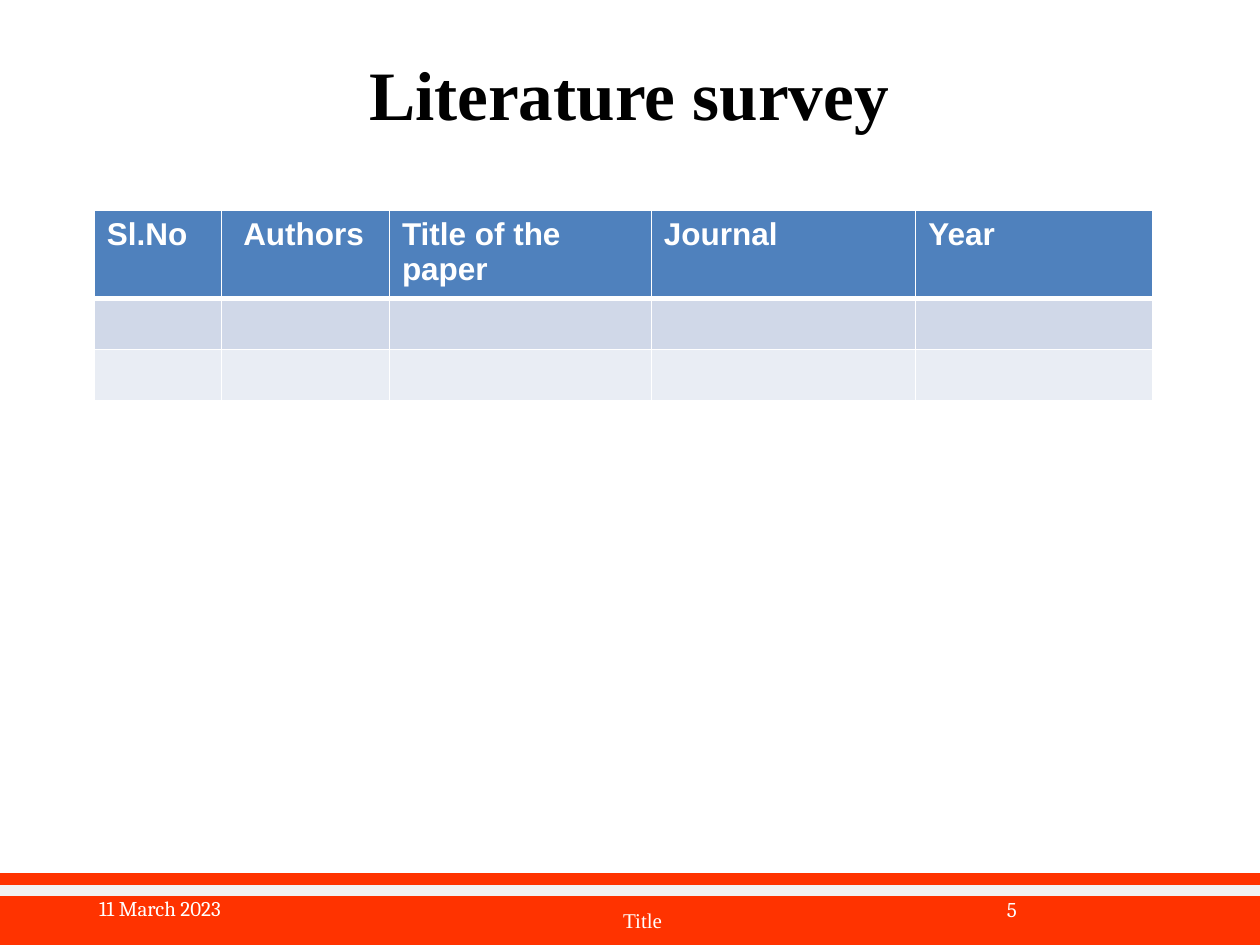
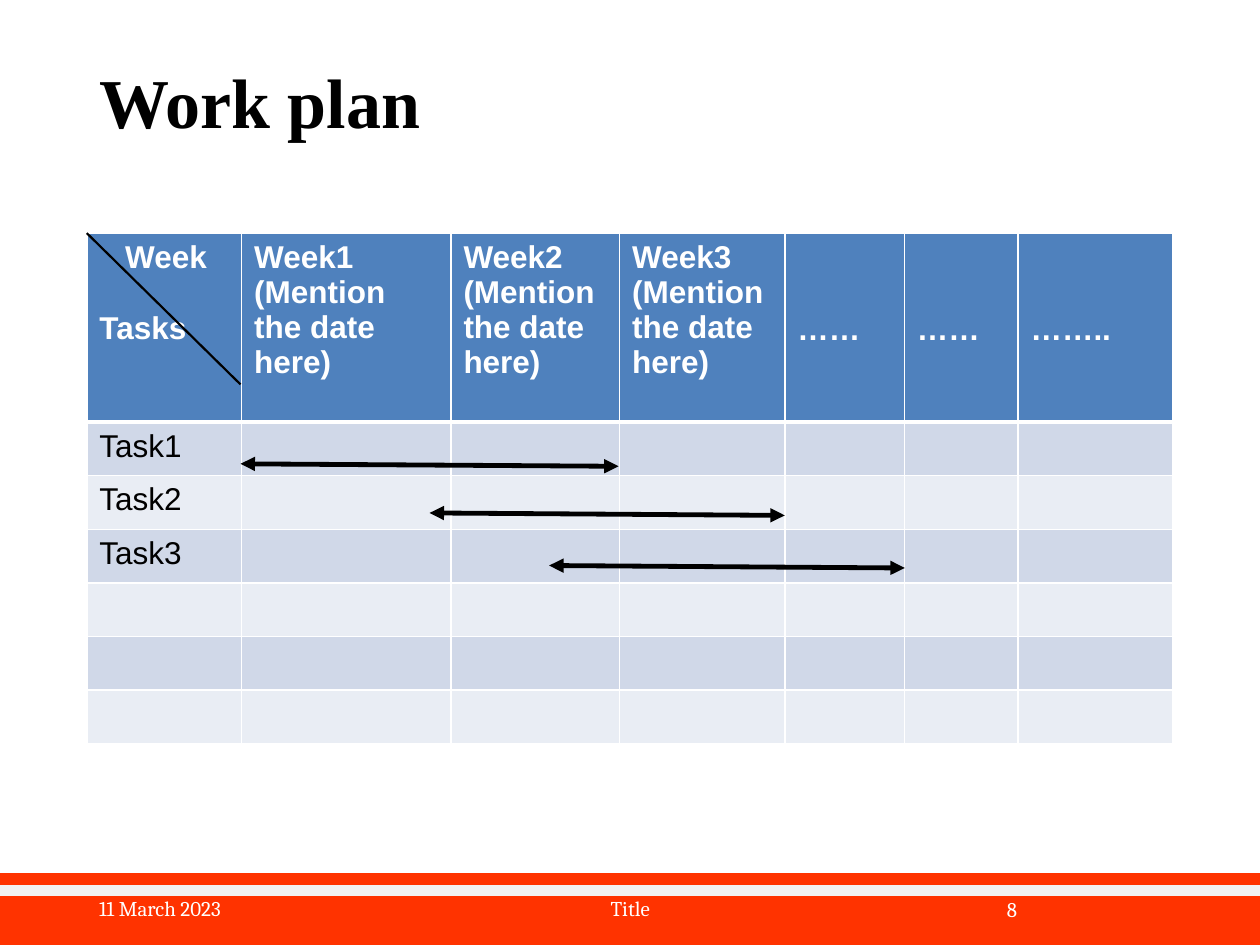
from lxml import etree
from pptx import Presentation
from pptx.dml.color import RGBColor
from pptx.enum.shapes import MSO_CONNECTOR, MSO_SHAPE
from pptx.enum.text import MSO_ANCHOR, MSO_AUTO_SIZE, PP_ALIGN
from pptx.oxml.ns import qn
from pptx.util import Cm, Pt

LEFT, CENTER, RIGHT = PP_ALIGN.LEFT, PP_ALIGN.CENTER, PP_ALIGN.RIGHT
MIDDLE = MSO_ANCHOR.MIDDLE
NO_AUTOFIT = MSO_AUTO_SIZE.NONE
RECTANGLE = MSO_SHAPE.RECTANGLE
STRAIGHT = MSO_CONNECTOR.STRAIGHT

BLACK, WHITE = "000000", "FFFFFF"
BAND, STRIPE = "FF3300", "F2F2F2"
HEADER, ROW_FILLS = "4F81BD", ("D0D8E8", "E9EDF4")
TABLE_FONT, FOOTER_FONT, TITLE_FONT = "Arial", "Cambria", "Times New Roman"

DATE = "11 March 2023"
FOOTER_TITLE = "Title"
WEEK_NOTE = "(Mention the date here)"


def color(value):
    return RGBColor.from_string(value)


def write(frame, text, font=TABLE_FONT, size=18, fill=BLACK, bold=False,
          align=LEFT, spacing=None, gap=0, indent=0):
    frame.word_wrap = True
    for index, line in enumerate(text.split("\n")):
        paragraph = frame.add_paragraph() if index else frame.paragraphs[0]
        paragraph.alignment = align
        if spacing:
            paragraph.line_spacing = spacing
        if index and gap:
            paragraph.space_before = Pt(gap)
        if not index and indent:
            paragraph._p.get_or_add_pPr().set("marL", str(Cm(indent)))
        run = paragraph.add_run()
        run.text = line
        run.font.name = font
        run.font.size = Pt(size)
        run.font.bold = bold
        run.font.color.rgb = color(fill)


def add_line(slide, start, end, fill, width, arrows=False):
    line = slide.shapes.add_connector(STRAIGHT, *map(Cm, start + end))
    line.line.color.rgb = color(fill)
    line.line.width = Pt(width)
    if arrows:
        outline = line.line._get_or_add_ln()
        for end_tag in ("a:headEnd", "a:tailEnd"):
            etree.SubElement(outline, qn(end_tag), type="triangle")
    etree.SubElement(line._element.spPr, qn("a:effectLst"))


def add_footer_text(slide, text, box, **style):
    frame = slide.shapes.add_textbox(*map(Cm, box)).text_frame
    frame.vertical_anchor = MIDDLE
    write(frame, text, **{"font": FOOTER_FONT, "size": 12, "fill": WHITE, **style})


def add_slide(deck, title, title_box, number, footer_box, footer_font=FOOTER_FONT,
              size=40, align=LEFT, bottom_margin=0.13):
    slide = deck.slides.add_slide(deck.slide_layouts[5])
    band = slide.shapes.add_shape(RECTANGLE, Cm(-0.05), Cm(17.6), Cm(25.45), Cm(1.45))
    band.shadow.inherit = False
    band.fill.solid()
    band.fill.fore_color.rgb = color(BAND)
    band.line.fill.background()
    add_line(slide, (-0.05, 17.95), (25.4, 17.95), STRIPE, 6)

    heading = slide.shapes.title
    heading.left, heading.top, heading.width, heading.height = map(Cm, title_box)
    frame = heading.text_frame
    frame.auto_size = NO_AUTOFIT
    frame.vertical_anchor = MIDDLE
    frame.margin_bottom = Cm(bottom_margin)
    write(frame, title, font=TITLE_FONT, size=size, bold=True, align=align, spacing=0.9)

    add_footer_text(slide, DATE, (1.75, 17.95, 5.72, 0.72))
    add_footer_text(slide, FOOTER_TITLE, footer_box, font=footer_font, align=CENTER)
    add_footer_text(slide, number, (17.93, 17.95, 2.82, 0.74), align=RIGHT)
    return slide


def set_borders(cell, row):
    properties = cell._tc.get_or_add_tcPr()
    widths = {"L": 1, "R": 1, "T": 3 if row == 1 else 1, "B": 3 if row == 0 else 1}
    for side, width in widths.items():
        border = etree.SubElement(properties, qn("a:ln" + side), w=str(Pt(width)))
        paint = etree.SubElement(border, qn("a:solidFill"))
        etree.SubElement(paint, qn("a:srgbClr"), val=WHITE)


def add_grid(slide, corner, columns, heights, headers, first_column=()):
    size = (sum(columns), sum(heights))
    table = slide.shapes.add_table(len(heights), len(columns),
                                   *map(Cm, corner + size)).table
    for column, width in zip(table.columns, columns):
        column.width = Cm(width)
    for row, height in enumerate(heights):
        table.rows[row].height = Cm(height)
        for cell in table.rows[row].cells:
            set_borders(cell, row)
            cell.fill.solid()
            cell.fill.fore_color.rgb = color(ROW_FILLS[(row - 1) % 2] if row else HEADER)
    for cell, (text, style) in zip(table.rows[0].cells, headers):
        write(cell.text_frame, text, fill=WHITE, bold=True, **style)
    for row, label in enumerate(first_column, start=1):
        write(table.cell(row, 0).text_frame, label)
    return table


def add_literature_survey(deck):
    slide = add_slide(deck, "Literature survey", (3.73, 1.09, 17.91, 1.78), "5",
                      (6.07, 17.83, 13.77, 1.42), footer_font=TITLE_FONT,
                      size=39.6, align=CENTER)
    headers = [("Sl.No", {}), ("Authors", {"indent": 0.18}),
               ("Title of the paper", {}), ("Journal", {}), ("Year", {})]
    add_grid(slide, (1.9, 4.24), (2.57, 3.38, 5.28, 5.33, 4.78),
             (1.65, 1.03, 1.03), headers)


def add_work_plan(deck):
    slide = add_slide(deck, "Work plan", (1.75, 1.02, 21.9, 3.68), "8",
                      (8.41, 17.95, 8.59, 0.72), bottom_margin=1.59)
    weeks = [(f"Week{week}\n{WEEK_NOTE}", {}) for week in range(1, 4)]
    later_weeks = [(dots, {}) for dots in ("……", "……", "……..")]
    headers = [("Week\nTasks", {"gap": 20.6, "indent": 0.52})] + weeks + later_weeks
    schedule = add_grid(slide, (1.75, 4.7), (3.12, 4.22, 3.4, 3.33, 2.41, 2.29, 3.12),
                        (3.81,) + (1.08,) * 6, headers,
                        [f"Task{task}" for task in range(1, 4)])
    for column in range(4, 7):
        schedule.cell(0, column).margin_top = Cm(1.58)

    add_line(slide, (1.75, 4.7), (4.85, 7.75), BLACK, 1.25)
    for start, end, top in ((4.85, 12.47, 9.35), (8.66, 15.82, 10.34),
                            (11.07, 18.24, 11.4)):
        add_line(slide, (start, top), (end, top + 0.05), BLACK, 2.75, arrows=True)


def main():
    deck = Presentation()
    deck.slide_width, deck.slide_height = Cm(25.4), Cm(19.05)
    add_literature_survey(deck)
    add_work_plan(deck)
    deck.save("out.pptx")


main()
